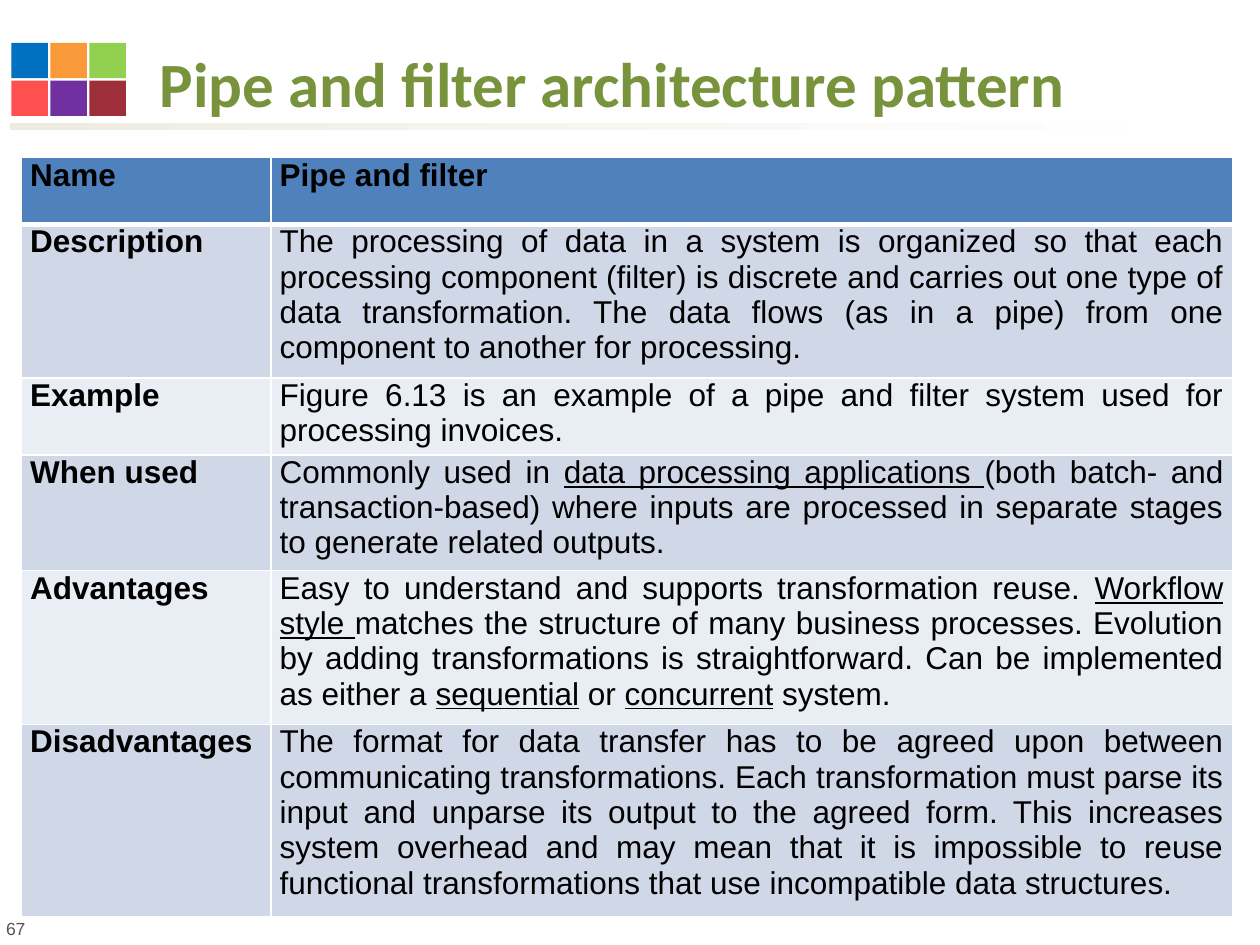
from lxml import etree
from pptx import Presentation
from pptx.dml.color import RGBColor
from pptx.enum.shapes import MSO_SHAPE
from pptx.enum.text import MSO_ANCHOR, PP_ALIGN
from pptx.oxml.ns import qn
from pptx.util import Inches, Pt

RECT = MSO_SHAPE.RECTANGLE
TOP, BOTTOM = MSO_ANCHOR.TOP, MSO_ANCHOR.BOTTOM
JUSTIFY = PP_ALIGN.JUSTIFY

WHITE = RGBColor(0xFF, 0xFF, 0xFF)
BLACK = RGBColor(0x00, 0x00, 0x00)
GREY = RGBColor(0x55, 0x55, 0x55)
GREEN = RGBColor(0x77, 0x93, 0x3C)
CREAM = RGBColor(0xEE, 0xEC, 0xE1)
HEADER = RGBColor(0x4F, 0x81, 0xBD)
BANDS = [RGBColor(0xE9, 0xED, 0xF4), RGBColor(0xD0, 0xD8, 0xE8)]
TILES = [
    [RGBColor(0x00, 0x70, 0xC0), RGBColor(0xF9, 0x99, 0x39), RGBColor(0x92, 0xD0, 0x50)],
    [RGBColor(0xFF, 0x50, 0x50), RGBColor(0x70, 0x30, 0xA0), RGBColor(0x9E, 0x2E, 0x39)],
]

TITLE = "Pipe and filter architecture pattern"
PAGE = "67"
# fmt: skip
ROWS = [
    ("Name", 0.53, ["Pipe and filter"]),
    ("Description", 1.22, [
        "The processing of data in a system is organized so that each processing "
        "component (filter) is discrete and carries out one type of data transformation. "
        "The data flows (as in a pipe) from one component to another for processing. "]),
    ("Example", 0.61, [
        "Figure 6.13 is an example of a pipe and filter system used for processing invoices."]),
    ("When used", 0.92, [
        "Commonly used in ", "data processing applications ",
        "(both batch- and transaction-based) where inputs are processed in separate "
        "stages to generate related outputs."]),
    ("Advantages", 1.22, [
        "Easy to understand and supports transformation reuse. ", "Workflow style ",
        "matches the structure of many business processes. Evolution by adding "
        "transformations is straightforward. Can be implemented as either a ",
        "sequential", " or ", "concurrent", " system."]),
    ("Disadvantages", 1.53, [
        "The format for data transfer has to be agreed upon between communicating "
        "transformations. Each transformation must parse its input and unparse its output "
        "to the agreed form. This increases system overhead and may mean that it is "
        "impossible to reuse functional transformations that use incompatible data "
        "structures."]),
]
COL_WIDTHS = [1.98, 7.63]
TAB_STOPS = [0.38, 0.75, 1.12]


def write(tf, parts, size, color, font="Arial", bold=False, align=None, tabs=()):
    p = tf.paragraphs[0]
    if tabs:
        tab_list = etree.SubElement(p._p.get_or_add_pPr(), qn("a:tabLst"))
        for pos in tabs:
            etree.SubElement(tab_list, qn("a:tab"), pos=str(Inches(pos)), algn="l")
    if align is not None:
        p.alignment = align
    for i, part in enumerate(parts):
        r = p.add_run()
        r.text = part
        r.font.name, r.font.size, r.font.bold = font, Pt(size), bold
        r.font.color.rgb = color
        if i % 2:
            r.font.underline = True


def add_text(s, box, text, anchor=TOP, **fmt):
    tf = s.shapes.add_textbox(*map(Inches, box)).text_frame
    tf.word_wrap = True
    tf.vertical_anchor = anchor
    write(tf, [text], **fmt)


def add_rect(s, *box):
    sp = s.shapes.add_shape(RECT, *map(Inches, box))
    sp.shadow.inherit = False
    sp.line.fill.background()
    return sp


def set_borders(cell, header):
    tc_pr = cell._tc.get_or_add_tcPr()
    for i, side in enumerate(("lnL", "lnR", "lnT", "lnB")):
        width = Pt(3 if header and side == "lnB" else 1)
        ln = etree.Element(qn(f"a:{side}"), w=str(width))
        fill = etree.SubElement(ln, qn("a:solidFill"))
        etree.SubElement(fill, qn("a:srgbClr"), val=str(WHITE))
        tc_pr.insert(i, ln)


def add_pattern_table(s):
    frame = s.shapes.add_table(
        len(ROWS), len(COL_WIDTHS), Inches(0.17), Inches(1.25),
        Inches(sum(COL_WIDTHS)), Inches(sum(row[1] for row in ROWS)))
    table = frame.table
    for col, width in zip(table.columns, COL_WIDTHS):
        col.width = Inches(width)
    for i, (label, height, parts) in enumerate(ROWS):
        table.rows[i].height = Inches(height)
        for j, content in enumerate(([label], parts)):
            cell = table.cell(i, j)
            cell.margin_left = cell.margin_right = Inches(0.07)
            cell.margin_top = cell.margin_bottom = 0
            cell.fill.solid()
            cell.fill.fore_color.rgb = BANDS[i % 2] if i else HEADER
            set_borders(cell, header=i == 0)
            write(cell.text_frame, content, size=18, color=BLACK,
                  bold=i == 0 or j == 0, align=JUSTIFY, tabs=TAB_STOPS)


def main():
    prs = Presentation()
    prs.slide_width, prs.slide_height = Inches(10), Inches(7.5)
    s = prs.slides.add_slide(prs.slide_layouts[6])

    rule = add_rect(s, 0.08, 0.98, 9.48, 0.05)
    rule.fill.gradient()
    rule.fill.gradient_angle = 0
    for stop, color in zip(rule.fill.gradient_stops, (CREAM, WHITE)):
        stop.color.rgb = color

    add_text(s, (-0.05, 7.24, 5.8, 0.27), PAGE, size=10, color=GREY)

    for i, row in enumerate(TILES):
        for j, color in enumerate(row):
            tile = add_rect(s, 0.09 + 0.31 * j, 0.34 + 0.3 * i, 0.29, 0.28)
            tile.fill.solid()
            tile.fill.fore_color.rgb = color

    add_text(s, (1.17, 0.32, 8.67, 0.68), TITLE, anchor=BOTTOM,
             size=36, color=GREEN, font="Calibri", bold=True)
    add_pattern_table(s)
    prs.save("out.pptx")


if __name__ == "__main__":
    main()
